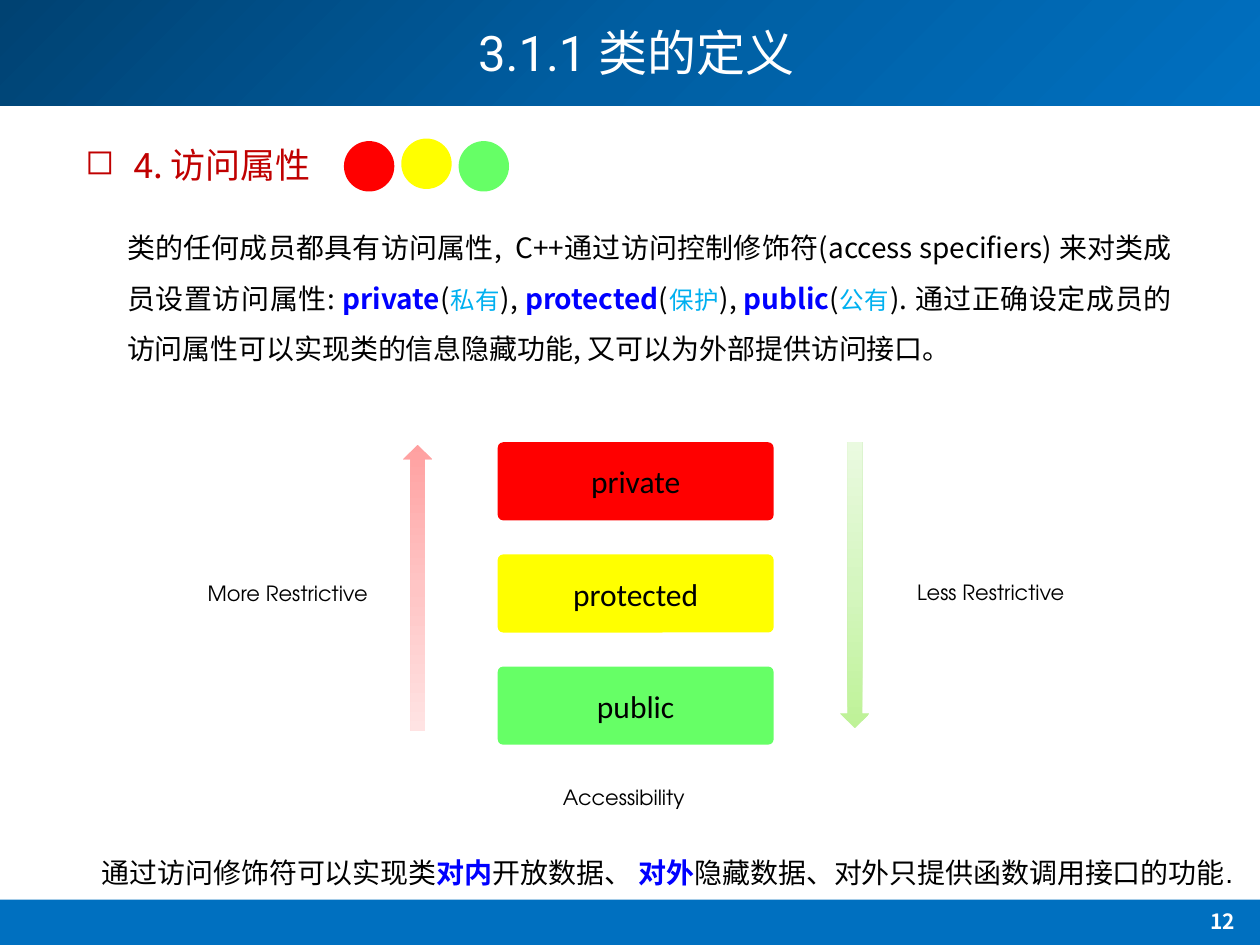
from lxml.etree import SubElement
from pptx import Presentation
from pptx.dml.color import RGBColor
from pptx.enum.shapes import MSO_SHAPE
from pptx.enum.text import MSO_ANCHOR, MSO_AUTO_SIZE, PP_ALIGN
from pptx.oxml.ns import qn
from pptx.util import Inches, Pt

COLORS = {
    "black": "000000", "white": "FFFFFF", "blue": "0070C0", "crimson": "C00000",
    "keyword": "0000FF", "gloss": "00B0F0",
    "private": "FF0000", "protected": "FFFF00", "public": "66FF66",
}
GRADIENTS = {
    "header": ["004272", "005EA2", "0070C0"],
    "less": ["BEF297", "D5F6C0", "EAFAE0"],
    "more": ["FFA0A0", "FFC5C5", "FFE3E3"],
}
CJK = "Noto Sans CJK SC"
GEOMETRIC = "TeX Gyre Adventor"

presentation = Presentation()
presentation.slide_width = Inches(10)
presentation.slide_height = Inches(7.5)
column = presentation.slide_width / 100
row = presentation.slide_height / 75
slide = presentation.slides.add_slide(presentation.slide_layouts[6])


def add_item(kind, left, top, width, height, fill=None, angle=0):
    box = [round(left * column), round(top * row), round(width * column), round(height * row)]
    if kind is None:
        return slide.shapes.add_textbox(*box)
    shape = slide.shapes.add_shape(kind, *box)
    shape.shadow.inherit = False
    shape.line.fill.background()
    if fill in GRADIENTS:
        shape.fill.gradient()
        shape.fill.gradient_angle = angle
        stops = shape._element.spPr.find(qn("a:gradFill")).find(qn("a:gsLst"))
        for stop in list(stops):
            stops.remove(stop)
        for position, color in zip((0, 50000, 100000), GRADIENTS[fill]):
            stop = SubElement(stops, qn("a:gs"), pos=str(position))
            SubElement(stop, qn("a:srgbClr"), val=color)
    else:
        shape.fill.solid()
        shape.fill.fore_color.rgb = RGBColor.from_string(COLORS[fill])
    return shape


def write(shape, runs, frame=None, layout=None, **base):
    for name, value in ({"word_wrap": True} | (frame or {})).items():
        setattr(shape.text_frame, name, value)
    paragraph = shape.text_frame.paragraphs[0]
    for name, value in (layout or {}).items():
        setattr(paragraph, name, value)
    for text, changes in runs:
        look = base | changes
        run = paragraph.add_run()
        run.text = text
        font_values = {"name": look["font"], "size": Pt(look["size"]), "bold": look.get("bold", False)}
        for name, value in font_values.items():
            setattr(run.font, name, value)
        run.font.color.rgb = RGBColor.from_string(COLORS[look.get("color", "black")])
        SubElement(run._r.get_or_add_rPr(), qn("a:ea"), typeface=CJK)
    return paragraph


grow = {"auto_size": MSO_AUTO_SIZE.SHAPE_TO_FIT_TEXT}
middle = {"vertical_anchor": MSO_ANCHOR.MIDDLE}
centered = {"alignment": PP_ALIGN.CENTER}
keyword = {"color": "keyword", "bold": True}
gloss = {"color": "gloss", "size": 14}

add_item(MSO_SHAPE.RECTANGLE, 0, 0, 100, 8.4, "header", 315)
add_item(MSO_SHAPE.RECTANGLE, 0, 71.4, 100, 3.6, "blue")
write(add_item(None, 92.3, 71.6, 9.5, 3.6), [("12", {})], layout=centered,
      font=CJK, size=12, color="white", bold=True)
write(add_item(None, 8.5, 0, 84, 8.9), [("3.1.1 ", {"font": "Roboto"}), ("类的定义", {})],
      middle, centered | {"line_spacing": 0.9}, font=CJK, size=28, color="white")

heading = write(add_item(None, 5.8, 10.9, 78.2, 4.4), [("4", {"font": "Roboto"}), (". 访问属性", {})],
                grow, font=CJK, size=20, color="crimson")
bullet = heading._p.get_or_add_pPr()
bullet.set("marL", str(Inches(0.38)))
bullet.set("indent", str(-Inches(0.38)))
SubElement(bullet, qn("a:buChar"), char="◻")

explanation = [("类的任何成员都具有访问属性,  C++通过访问控制修饰符(access specifiers) 来对类成员设置访问属性: ", {})]
levels = [("private", "私有", "), "), ("protected", "保护", "), "),
          ("public", "公有", "). 通过正确设定成员的访问属性可以实现类的信息隐藏功能, 又可以为外部提供访问接口。")]
for index, (level, meaning, ending) in enumerate(levels):
    explanation += [(level, keyword), ("(", {}), (meaning, gloss), (ending, {})]
    bar = add_item(MSO_SHAPE.ROUNDED_RECTANGLE, 39.5, 35.1 + 8.9 * index, 21.9, 6.2, level)
    bar.adjustments[0] = 0.07
    write(bar, [(level, {})], middle, centered, font="Calibri", size=18)
    add_item(MSO_SHAPE.OVAL, 27.3 + 4.55 * index, 11 if index == 1 else 11.2, 4, 4, level)

write(add_item(None, 9.1, 16.5, 84.9, 13.1), explanation, grow,
      {"alignment": PP_ALIGN.JUSTIFY, "line_spacing": 1.5}, font=CJK, size=16)

for left, top, fill, rotation in [(66.7, 35.1, "less", 0), (32, 35.3, "more", 180)]:
    arrow = add_item(MSO_SHAPE.DOWN_ARROW, left, top, 2.3, 22.7, fill, 90)
    arrow.rotation = rotation

for text, left, top in [("More Restrictive", 15.5, 45.6), ("Accessibility", 43.7, 61.8),
                        ("Less Restrictive", 71.8, 45.5)]:
    write(add_item(None, left, top, 20.6, 3), [(text, {})], grow, font=GEOMETRIC, size=12)

summary = [("通过访问修饰符可以实现类", {}), ("对内", keyword), ("开放数据、 ", {}),
           ("对外", keyword), ("隐藏数据、对外只提供函数调用接口的功能.", {})]
write(add_item(None, 7.1, 67.4, 92.9, 3.7), summary, grow | {"word_wrap": False}, font="Arial", size=16)

presentation.save("out.pptx")
